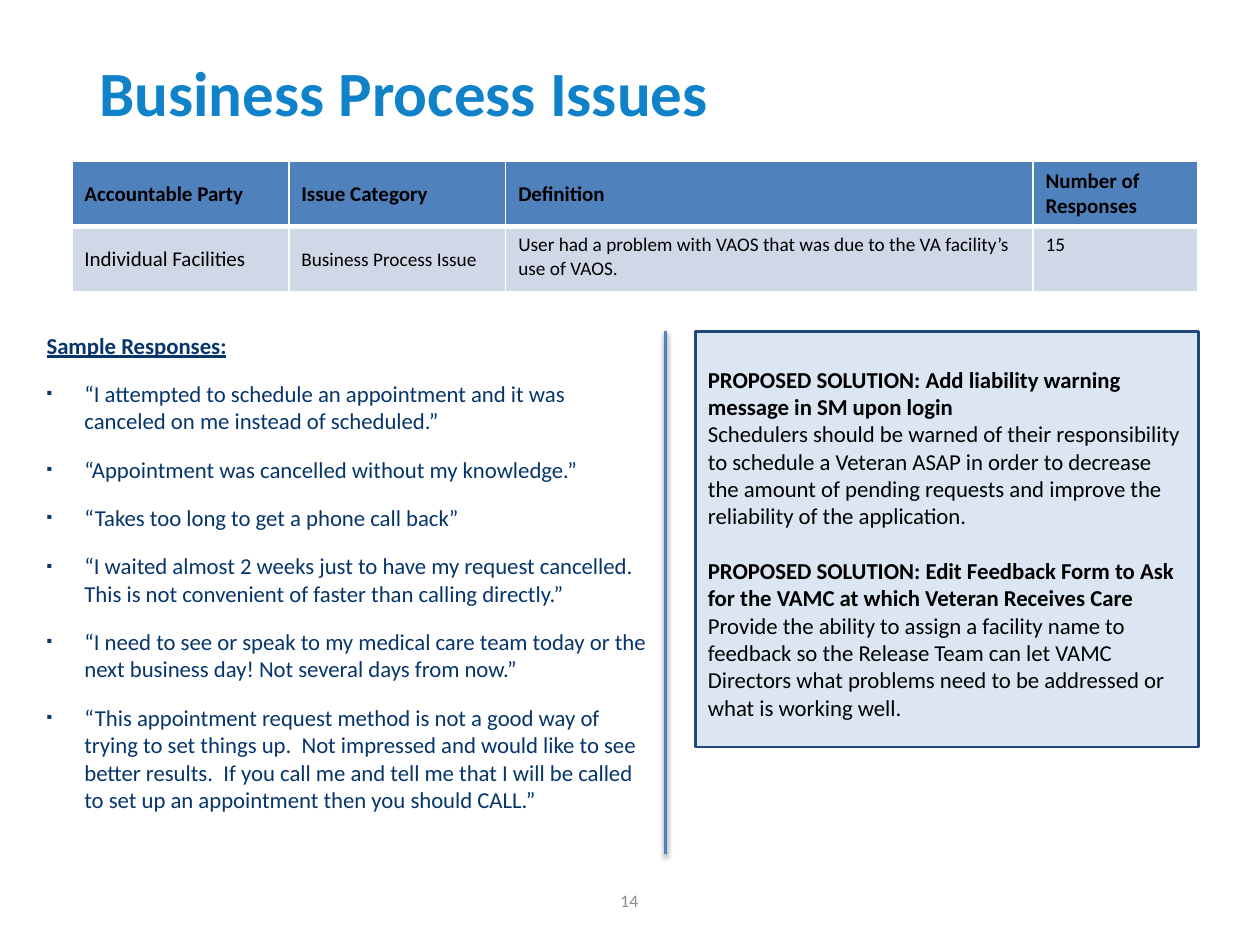
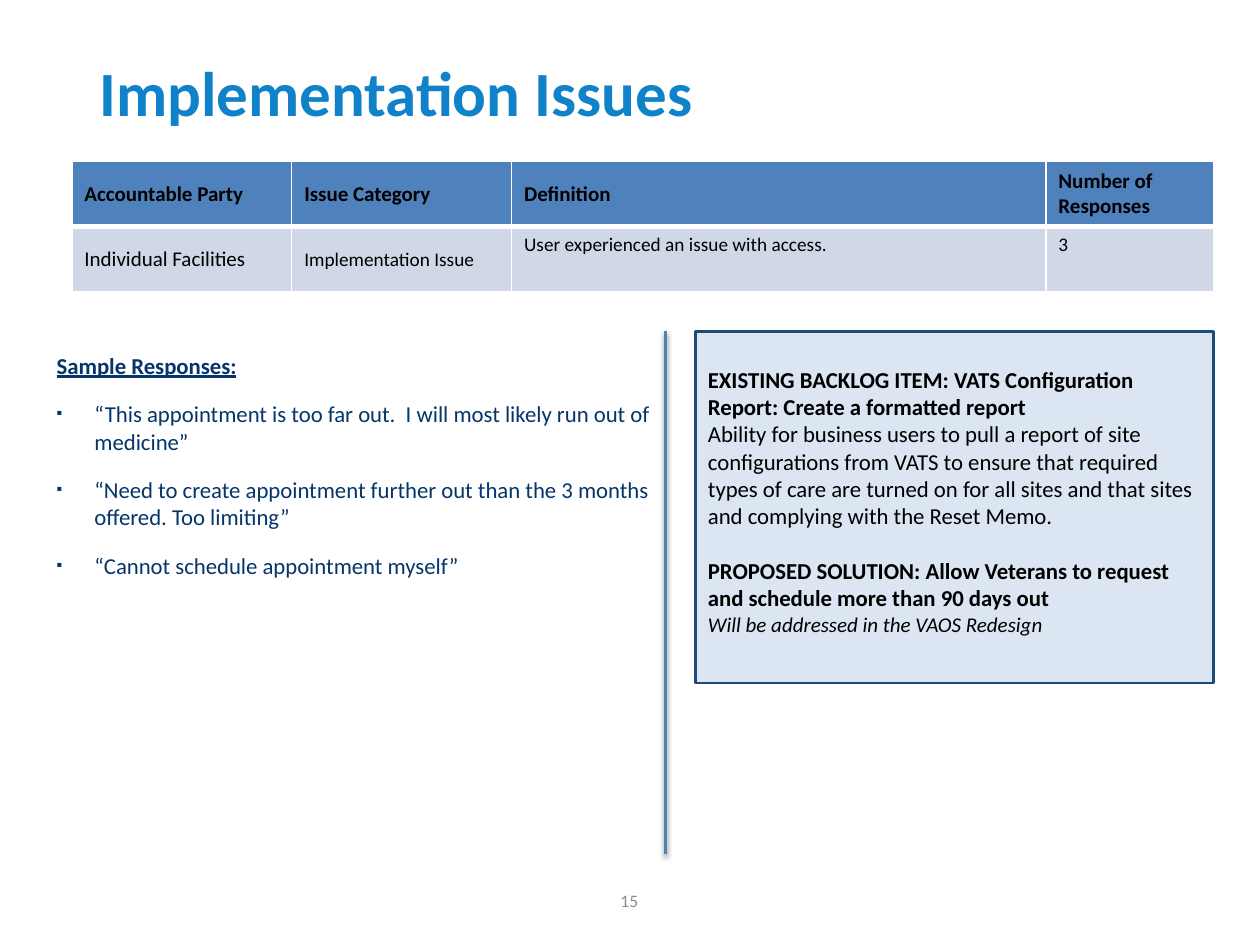
from dataclasses import dataclass

import lxml.etree
import pptx
import pptx.dml.color
import pptx.enum.shapes
import pptx.enum.text
import pptx.oxml
import pptx.oxml.ns
import pptx.util
from pptx.util import Inches, Pt

COLORS = {
    "title": "1082C9",
    "number": "8C8C8C",
    "response": "06356B",
    "text": "000000",
    "header": "4F81BD",
    "row": "D0D8E8",
    "panel": "DCE6F2",
    "panel_line": "1F497D",
    "white": "FFFFFF",
}
FONT = "Calibri"
HEADERS = ("Accountable Party", "Issue Category", "Definition", "Number of Responses")
COLUMN_WIDTHS = (1.72, 1.72, 4.18, 1.31)
TABLE_LEFT = 0.57
TABLE_TOP = 1.28
ROW_HEIGHT = 0.52
PANEL_LEFT = 5.52
DIVIDER_X = 5.28
CONTENT_TOP = 2.63
MIDDLE = pptx.enum.text.MSO_ANCHOR.MIDDLE
TOP = pptx.enum.text.MSO_ANCHOR.TOP


@dataclass(frozen=True)
class TextStyle:
    size: float
    color: str = "text"
    bold: bool = False
    italic: bool = False
    underline: bool = False


@dataclass(frozen=True)
class Solution:
    heading: str
    description: str
    style: TextStyle = TextStyle(13)


@dataclass(frozen=True)
class IssueSlide:
    number: int
    title: str
    category: str
    definition: str
    response_count: int
    table_width: float
    responses_left: float
    responses_top: float
    responses: tuple[str, ...]
    panel_height: float
    solutions: tuple[Solution, ...]


ISSUES = (
    IssueSlide(
        number=14,
        title="Business Process Issues",
        category="Business Process Issue",
        definition="User had a problem with VAOS that was due to the VA facility’s use of VAOS.",
        response_count=15,
        table_width=8.94,
        responses_left=0.37,
        responses_top=2.63,
        responses=(
            "“I attempted to schedule an appointment and it was canceled on me instead of scheduled.”",
            "“Appointment was cancelled without my knowledge.”",
            "“Takes too long to get a phone call back”",
            "“I waited almost 2 weeks just to have my request cancelled. "
            "This is not convenient of faster than calling directly.”",
            "“I need to see or speak to my medical care team today or the next business day! "
            "Not several days from now.”",
            "“This appointment request method is not a good way of trying to set things up.  "
            "Not impressed and would like to see better results.  If you call me and tell me "
            "that I will be called to set up an appointment then you should CALL.”",
        ),
        panel_height=3.3,
        solutions=(
            Solution(
                "PROPOSED SOLUTION: Add liability warning message in SM upon login",
                "Schedulers should be warned of their responsibility to schedule a Veteran ASAP "
                "in order to decrease the amount of pending requests and improve the reliability "
                "of the application.",
            ),
            Solution(
                "PROPOSED SOLUTION: Edit Feedback Form to Ask for the VAMC at which Veteran Receives Care",
                "Provide the ability to assign a facility name to feedback so the Release Team can "
                "let VAMC Directors what problems need to be addressed or what is working well.",
            ),
        ),
    ),
    IssueSlide(
        number=15,
        title="Implementation Issues",
        category="Implementation Issue",
        definition="User experienced an issue with access.",
        response_count=3,
        table_width=9.06,
        responses_left=0.45,
        responses_top=2.79,
        responses=(
            "“This appointment is too far out.  I will most likely run out of medicine”",
            "“Need to create appointment further out than the 3 months offered. Too limiting”",
            "“Cannot schedule appointment myself”",
        ),
        panel_height=2.79,
        solutions=(
            Solution(
                "EXISTING BACKLOG ITEM: VATS Configuration Report: Create a formatted report",
                "Ability for business users to pull a report of site configurations from VATS to "
                "ensure that required types of care are turned on for all sites and that sites "
                "and complying with the Reset Memo.",
            ),
            Solution(
                "PROPOSED SOLUTION: Allow Veterans to request and schedule more than 90 days out",
                "Will be addressed in the VAOS Redesign",
                TextStyle(12, italic=True),
            ),
        ),
    ),
)


def rgb(name: str) -> pptx.dml.color.RGBColor:
    return pptx.dml.color.RGBColor.from_string(COLORS[name])


def add_element(parent, tag: str, **attributes):
    element = lxml.etree.SubElement(parent, pptx.oxml.ns.qn(tag))
    for name, value in attributes.items():
        element.set(name, str(value))
    return element


def write(paragraph, text: str, style: TextStyle) -> None:
    paragraph.text = text
    paragraph.alignment = pptx.enum.text.PP_ALIGN.LEFT
    font = paragraph.font
    font.name = FONT
    font.size = Pt(style.size)
    font.bold = style.bold
    font.italic = style.italic
    font.underline = style.underline
    font.color.rgb = rgb(style.color)


def next_paragraph(frame, index: int):
    return frame.add_paragraph() if index else frame.paragraphs[0]


def add_text_box(slide, left: float, top: float, width: float, height: float, anchor=TOP):
    shape = slide.shapes.add_textbox(Inches(left), Inches(top), Inches(width), Inches(height))
    frame = shape.text_frame
    frame.word_wrap = True
    frame.vertical_anchor = anchor
    return frame


def add_title_and_number(slide, issue: IssueSlide) -> None:
    title = add_text_box(slide, 0.69, 0.19, 8.59, 1.07, MIDDLE)
    write(title.paragraphs[0], issue.title, TextStyle(36, "title", bold=True))
    number = add_text_box(slide, 3.83, 6.95, 2.33, 0.4, MIDDLE)
    write(number.paragraphs[0], str(issue.number), TextStyle(10, "number"))
    number.paragraphs[0].alignment = pptx.enum.text.PP_ALIGN.CENTER


def add_bullet(paragraph) -> None:
    properties = paragraph._p.get_or_add_pPr()
    properties.set("marL", str(Inches(0.3)))
    properties.set("indent", str(-Inches(0.3)))
    add_element(properties, "a:buSzPct", val=70000)
    add_element(properties, "a:buFont", typeface=FONT)
    add_element(properties, "a:buChar", char="▪")


def add_responses(slide, issue: IssueSlide) -> None:
    frame = add_text_box(slide, issue.responses_left, issue.responses_top, 4.76, 4.32)
    frame.margin_left = frame.margin_right = frame.margin_top = frame.margin_bottom = 0
    heading = frame.paragraphs[0]
    write(heading, "Sample Responses:", TextStyle(13, "response", bold=True, underline=True))
    heading.space_after = Pt(6)
    for response in issue.responses:
        paragraph = frame.add_paragraph()
        add_bullet(paragraph)
        write(paragraph, response, TextStyle(13, "response"))
        paragraph.space_before = paragraph.space_after = Pt(6)


def add_solution_panel(slide, issue: IssueSlide) -> None:
    width = TABLE_LEFT + issue.table_width - PANEL_LEFT
    panel = slide.shapes.add_shape(
        pptx.enum.shapes.MSO_SHAPE.RECTANGLE,
        Inches(PANEL_LEFT), Inches(CONTENT_TOP), Inches(width), Inches(issue.panel_height),
    )
    panel.shadow.inherit = False
    panel.fill.solid()
    panel.fill.fore_color.rgb = rgb("panel")
    panel.line.color.rgb = rgb("panel_line")
    panel.line.width = Pt(1.5)
    frame = panel.text_frame
    frame.word_wrap = True
    frame.vertical_anchor = TOP
    frame.margin_top = Inches(0.27)
    for index, solution in enumerate(issue.solutions):
        heading = next_paragraph(frame, index)
        write(heading, solution.heading, TextStyle(13, bold=True))
        if index:
            heading.space_before = Pt(15.6)
        write(frame.add_paragraph(), solution.description, solution.style)


def set_borders(cell, bottom_width: float) -> None:
    properties = cell._tc.get_or_add_tcPr()
    widths = {"a:lnL": 1, "a:lnR": 1, "a:lnT": 1, "a:lnB": bottom_width}
    for position, (tag, width) in enumerate(widths.items()):
        border = add_element(properties, tag, w=Pt(width))
        fill = add_element(border, "a:solidFill")
        add_element(fill, "a:srgbClr", val=COLORS["white"])
        properties.insert(position, border)


def fill_row(table, row: int, texts: tuple[str, ...], styles: tuple[TextStyle, ...],
             anchors: tuple, color: str, bottom_width: float) -> None:
    table.rows[row].height = Inches(ROW_HEIGHT)
    for column, (text, style, anchor) in enumerate(zip(texts, styles, anchors)):
        cell = table.cell(row, column)
        cell.fill.solid()
        cell.fill.fore_color.rgb = rgb(color)
        cell.vertical_anchor = anchor
        write(cell.text_frame.paragraphs[0], text, style)
        set_borders(cell, bottom_width)


def add_issue_table(slide, issue: IssueSlide) -> None:
    table = slide.shapes.add_table(
        2, len(HEADERS), Inches(TABLE_LEFT), Inches(TABLE_TOP),
        Inches(issue.table_width), Inches(2 * ROW_HEIGHT),
    ).table
    scale = issue.table_width / sum(COLUMN_WIDTHS)
    for column, width in zip(table.columns, COLUMN_WIDTHS):
        column.width = Inches(width * scale)
    fill_row(table, 0, HEADERS, (TextStyle(12, bold=True),) * 4, (MIDDLE,) * 4, "header", 3)
    values = ("Individual Facilities", issue.category, issue.definition, str(issue.response_count))
    styles = (TextStyle(12),) + (TextStyle(11),) * 3
    fill_row(table, 1, values, styles, (MIDDLE, MIDDLE, TOP, TOP), "row", 1)


def add_divider(slide) -> None:
    divider = slide.shapes.add_connector(
        pptx.enum.shapes.MSO_CONNECTOR.STRAIGHT,
        Inches(DIVIDER_X), Inches(CONTENT_TOP), Inches(DIVIDER_X), Inches(6.78),
    )
    divider.line.color.rgb = rgb("header")
    divider.line.width = Pt(2)
    effects = add_element(divider._element.spPr, "a:effectLst")
    shadow = add_element(effects, "a:outerShdw", blurRad=Pt(3.1), dist=Pt(1.6),
                         dir=90 * 60000, rotWithShape=0)
    color = add_element(shadow, "a:srgbClr", val=COLORS["text"])
    add_element(color, "a:alpha", val=38000)


def add_issue_slide(presentation, issue: IssueSlide) -> None:
    slide = presentation.slides.add_slide(presentation.slide_layouts[6])
    add_title_and_number(slide, issue)
    add_responses(slide, issue)
    add_solution_panel(slide, issue)
    add_issue_table(slide, issue)
    add_divider(slide)


def main() -> None:
    presentation = pptx.Presentation()
    presentation.slide_width = Inches(10)
    presentation.slide_height = Inches(7.5)
    for issue in ISSUES:
        add_issue_slide(presentation, issue)
    presentation.save("out.pptx")


if __name__ == "__main__":
    main()
